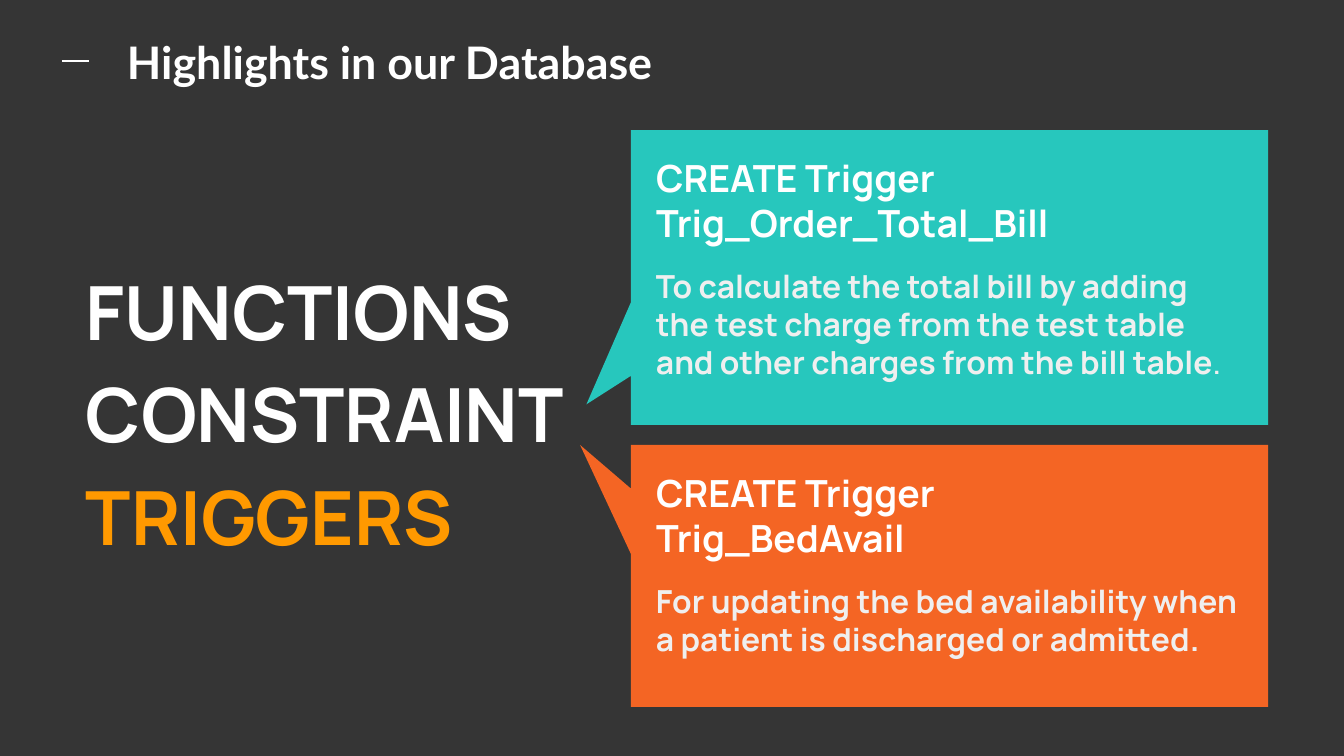
from pptx import Presentation
from pptx.dml.color import RGBColor as RGB
from pptx.enum.shapes import MSO_CONNECTOR as CONN, MSO_SHAPE as SHAPE
from pptx.oxml.ns import qn
from pptx.util import Pt
from lxml.etree import SubElement as Sub

SCALE = 914400 / 134.4
WHITE, PALE, DARK = "FFFFFF", "EFEFEF", "353535"
TEAL, ORANGE, GOLD = "27C7BD", "F46524", "FF9900"


def px(*nums):
    return [round(n * SCALE) for n in nums]


def paint(part, hue):
    if hasattr(part, "solid"):
        part.solid()
        part = part.fore_color
    else:
        part = part.color
    part.rgb = RGB.from_string(hue)


def write(slide, box, paras, font="Manrope", lead=None):
    frame = slide.shapes.add_textbox(*px(*box)).text_frame
    frame.word_wrap = True
    pad = px(13)[0]
    frame.margin_left = frame.margin_right = pad
    frame.margin_top = frame.margin_bottom = pad
    for i, runs in enumerate(paras):
        para = frame.add_paragraph() if i else frame.paragraphs[0]
        if lead:
            para.line_spacing = lead
        for text, size, hue in runs:
            run = para.add_run()
            run.text = text
            run.font.name = font
            run.font.size = Pt(size)
            run.font.bold = True
            paint(run.font, hue)


def header(slide, x, y, text):
    dash = slide.shapes.add_connector(CONN.STRAIGHT, *px(x, y + 39, x + 27, y + 39))
    paint(dash.line, WHITE)
    dash.line.width = Pt(1.5)
    Sub(dash._element.spPr, qn("a:effectLst"))
    write(slide, (x + 52, y, 753, 82), [[(text, 24, WHITE)]], font="Lato")


def topics(slide, box, words, pick):
    paras = [[(word, 40, GOLD if word == pick else WHITE)] for word in words]
    write(slide, box, paras, lead=1.15)


def card(slide, box, hue, tip, head, note):
    x, y, wide, high = box
    shape = slide.shapes.add_shape(SHAPE.RECTANGULAR_CALLOUT, *px(*box))
    shape.shadow.inherit = False
    shape.adjustments[0], shape.adjustments[1] = tip
    paint(shape.fill, hue)
    shape.line.fill.background()
    write(slide, (x + 12, y + 12, 517, 110), [[(head, 20, WHITE)]])
    write(slide, (x + 12, y + 124, wide - 23, high - 148), [note])


def main():
    deck = Presentation()
    deck.slide_width, deck.slide_height = px(1344, 756)
    slide = deck.slides.add_slide(deck.slide_layouts[6])
    paint(slide.background.fill, DARK)

    header(slide, 62, 22, "Highlights in our Database")
    topics(slide, (73, 239, 559, 332),
           ["FUNCTIONS", "CONSTRAINT", "TRIGGERS"], pick="TRIGGERS")
    card(slide, (631, 130, 637, 295), TEAL, (-0.57, 0.43),
         "CREATE Trigger Trig_Order_Total_Bill",
         [("To calculate the total bill by adding the test charge from "
           "the test table and other charges from the bill table", 17, PALE),
          (".", 14, PALE)])
    card(slide, (631, 445, 637, 262), ORANGE, (-0.58, -0.5),
         "CREATE Trigger Trig_BedAvail",
         [("For updating the bed availability when a patient is "
           "discharged or admitted.", 17, PALE)])
    deck.save("out.pptx")


if __name__ == "__main__":
    main()
